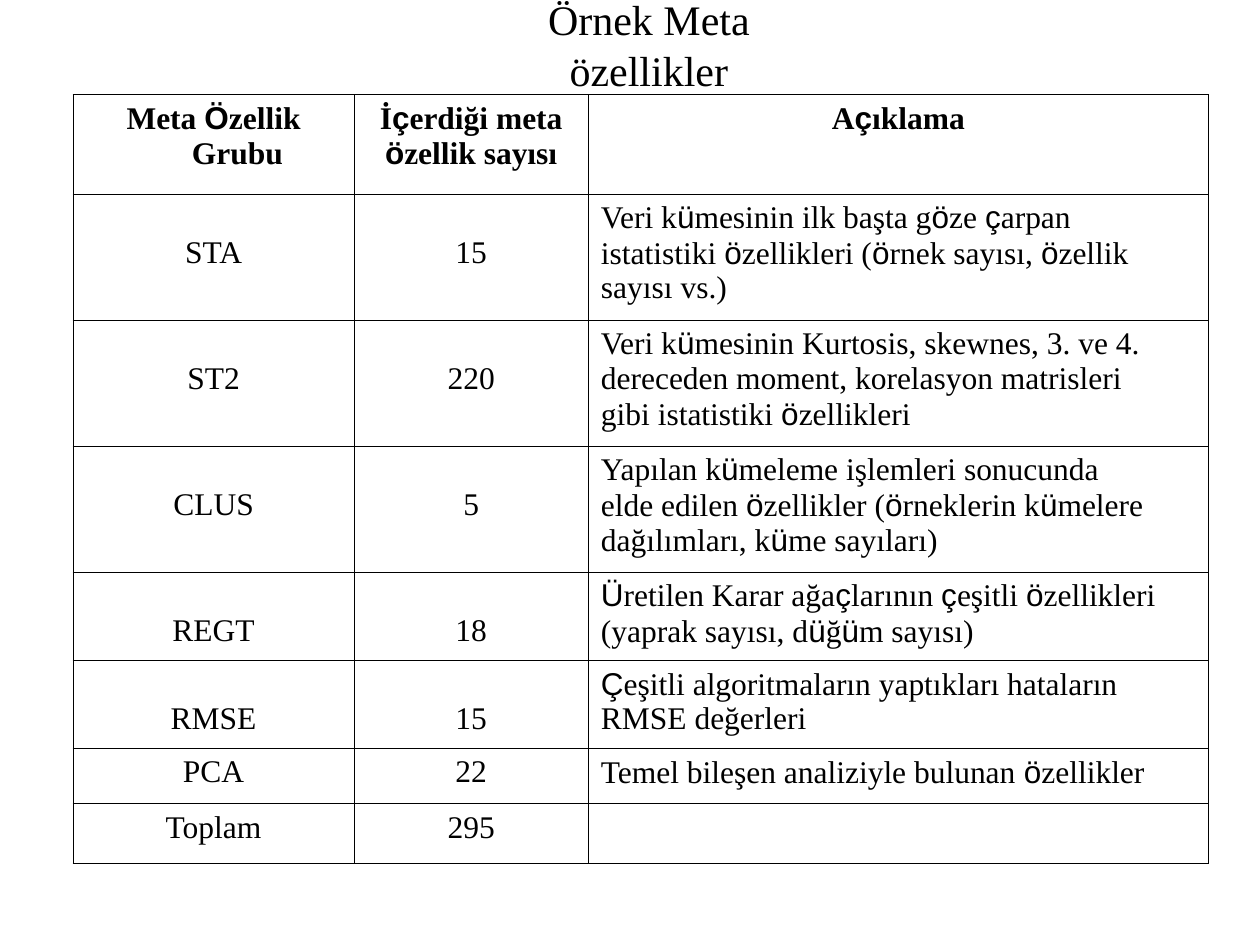
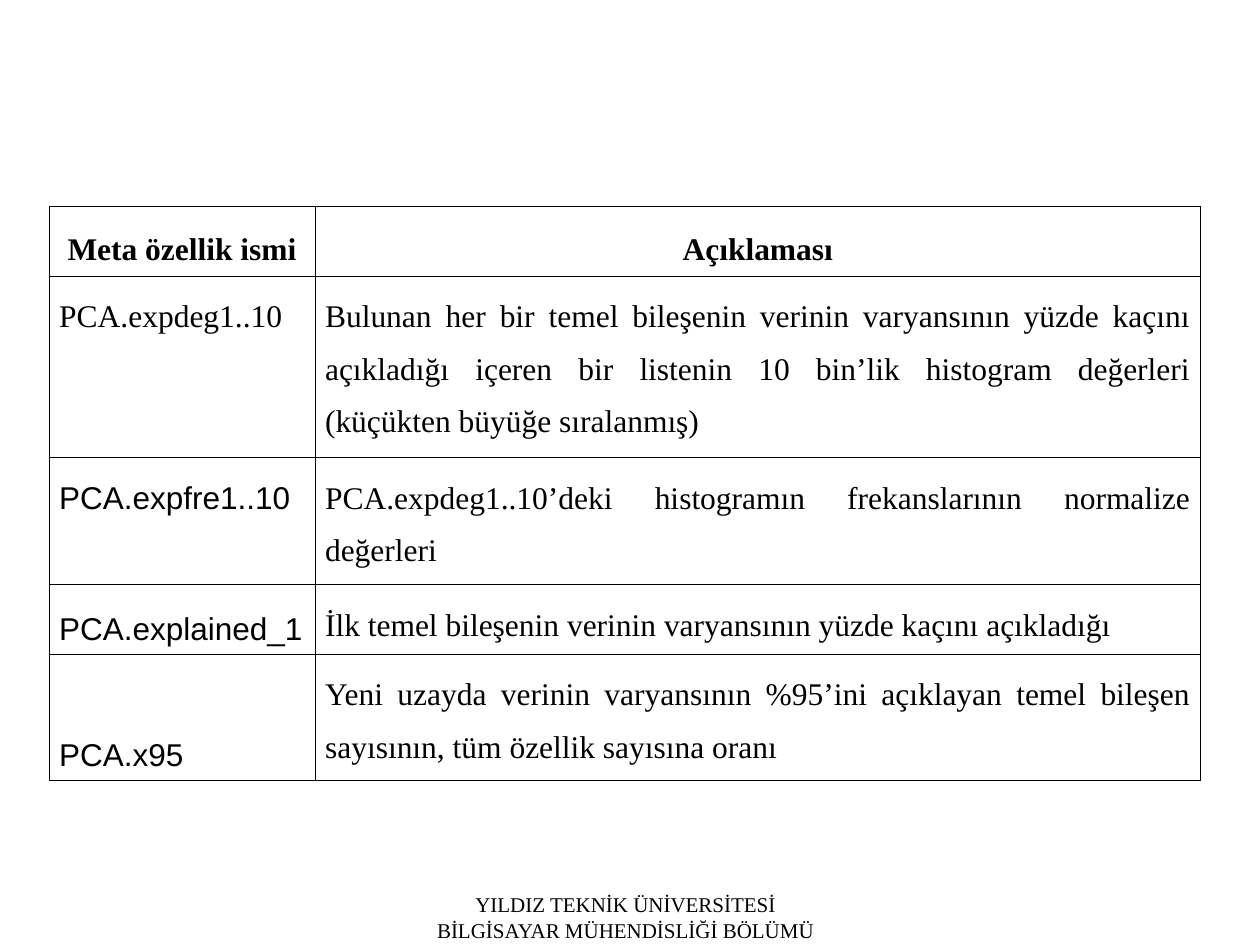
"""Two slides of Turkish tables on meta-features, with a title and a department footer."""
from itertools import groupby

from lxml.etree import SubElement
from pptx import Presentation
from pptx.dml.color import RGBColor
from pptx.enum.text import MSO_ANCHOR as Anchor, MSO_AUTO_SIZE as AutoSize, PP_ALIGN as Align
from pptx.oxml.ns import qn
from pptx.util import Inches, Pt

SERIF, SANS = "Times New Roman", "Arial"
BLACK = RGBColor(0, 0, 0)
SANS_LETTERS = "çöüÇÖÜ"
BODY_SIZE, TITLE_SIZE, FOOTER_SIZE = 18, 24, 12
BORDER_WIDTH = Pt(0.45)
HANGING = Inches(0.38)
LINE_HEIGHT = 0.28

TITLE = "Örnek Meta özellikler"
FOOTER = ["YILDIZ TEKNİK ÜNİVERSİTESİ", "BİLGİSAYAR MÜHENDİSLİĞİ BÖLÜMÜ"]

GROUP_ROWS = [
    ("Meta Özellik Grubu", "İçerdiği meta\nözellik sayısı", "Açıklama"),
    ("STA", "15", "Veri kümesinin ilk başta göze çarpan\n"
                  "istatistiki özellikleri (örnek sayısı, özellik\nsayısı vs.)"),
    ("ST2", "220", "Veri kümesinin Kurtosis, skewnes, 3. ve 4.\n"
                   "dereceden moment, korelasyon matrisleri\ngibi istatistiki özellikleri"),
    ("CLUS", "5", "Yapılan kümeleme işlemleri sonucunda\n"
                  "elde edilen özellikler (örneklerin kümelere\ndağılımları, küme sayıları)"),
    ("REGT", "18", "Üretilen Karar ağaçlarının çeşitli özellikleri\n(yaprak sayısı, düğüm sayısı)"),
    ("RMSE", "15", "Çeşitli algoritmaların yaptıkları hataların\nRMSE değerleri"),
    ("PCA", "22", "Temel bileşen analiziyle bulunan özellikler"),
    ("Toplam", "295", ""),
]
GROUP_COLUMNS = [2.23, 1.86, 4.92]
GROUP_HEIGHTS = [0.79, 1, 1, 1, 0.7, 0.7, 0.44, 0.47]

PCA_ROWS = [
    ("Meta özellik ismi", "Açıklaması"),
    ("PCA.expdeg1..10", "Bulunan her bir temel bileşenin verinin varyansının yüzde kaçını açıkladığı "
                        "içeren bir listenin 10 bin’lik histogram değerleri (küçükten büyüğe sıralanmış)"),
    ("PCA.expfre1..10", "PCA.expdeg1..10’deki histogramın frekanslarının normalize değerleri"),
    ("PCA.explained_1", "İlk temel bileşenin verinin varyansının yüzde kaçını açıkladığı"),
    ("PCA.x95", "Yeni uzayda verinin varyansının %95’ini açıklayan temel bileşen sayısının, "
                "tüm özellik sayısına oranı"),
]
PCA_COLUMNS = [2.11, 7.03]
PCA_HEIGHTS = [0.55, 1.44, 1.01, 0.55, 1]
PCA_SANS_NAMES = (2, 3, 4)
PCA_LOW_NAMES = (3, 4)


def style_font(font, name, size, bold=False):
    font.name, font.size, font.bold = name, Pt(size), bold
    font.color.rgb = BLACK


def add_border(cell):
    properties = cell._tc.get_or_add_tcPr()
    for side in ("a:lnL", "a:lnR", "a:lnT", "a:lnB"):
        line = SubElement(properties, qn(side), w=str(BORDER_WIDTH))
        fill = SubElement(line, qn("a:solidFill"))
        SubElement(fill, qn("a:srgbClr"), val=str(BLACK))


def add_grid(slide, left, top, columns, heights, side_margin):
    frame = slide.shapes.add_table(len(heights), len(columns), Inches(left), Inches(top),
                                   Inches(sum(columns)), Inches(sum(heights)))
    table = frame.table
    table.first_row = table.horz_banding = False
    for column, width in zip(table.columns, columns):
        column.width = Inches(width)
    for row, height in zip(table.rows, heights):
        row.height = Inches(height)
    for cell in table.iter_cells():
        add_border(cell)
        cell.fill.background()
        cell.margin_left = cell.margin_right = Inches(side_margin)
    return table


def add_mixed_runs(paragraph, text, bold):
    for sans, letters in groupby(text, key=lambda letter: letter in SANS_LETTERS):
        run = paragraph.add_run()
        run.text = "".join(letters)
        style_font(run.font, SANS if sans else SERIF, BODY_SIZE, bold)


def fill_group_cell(cell, text, centred, bold):
    for index, line in enumerate(text.split("\n")):
        frame = cell.text_frame
        paragraph = frame.add_paragraph() if index else frame.paragraphs[0]
        paragraph.alignment = Align.CENTER if centred else Align.JUSTIFY
        properties = paragraph._p.get_or_add_pPr()
        properties.set("marL", str(HANGING))
        properties.set("indent", str(-HANGING))
        add_mixed_runs(paragraph, line, bold)


def build_group_slide(presentation):
    slide = presentation.slides.add_slide(presentation.slide_layouts[5])
    title = slide.shapes.title
    title.left, title.top, title.width, title.height = map(Inches, (3.58, 0.1, 3.14, 0.5))
    title.text_frame.text = TITLE
    title.text_frame.auto_size = AutoSize.NONE
    title.text_frame.word_wrap = False
    style_font(title.text_frame.paragraphs[0].font, SERIF, TITLE_SIZE)

    table = add_grid(slide, 0.58, 0.75, GROUP_COLUMNS, GROUP_HEIGHTS, 0.1)
    for row, texts in enumerate(GROUP_ROWS):
        tall = "\n" in texts[-1]
        for column, text in enumerate(texts):
            cell = table.cell(row, column)
            fill_group_cell(cell, text, row == 0 or column < 2, row == 0)
            if tall and column < 2:
                cell.margin_top = Inches(0.05 + LINE_HEIGHT)


def build_pca_slide(presentation):
    slide = presentation.slides.add_slide(presentation.slide_layouts[6])
    table = add_grid(slide, 0.39, 1.64, PCA_COLUMNS, PCA_HEIGHTS, 0.08)
    for row, texts in enumerate(PCA_ROWS):
        for column, text in enumerate(texts):
            cell = table.cell(row, column)
            cell.text_frame.text = text
            paragraph = cell.text_frame.paragraphs[0]
            paragraph.alignment = Align.JUSTIFY if row else Align.CENTER
            paragraph.line_spacing = 1.5
            paragraph.space_after = Pt(6)
            is_sans = column == 0 and row in PCA_SANS_NAMES
            style_font(paragraph.font, SANS if is_sans else SERIF, BODY_SIZE, row == 0)
            if row == 0:
                cell.vertical_anchor = Anchor.MIDDLE
            elif column == 0 and row in PCA_LOW_NAMES:
                cell.vertical_anchor = Anchor.BOTTOM

    footer = slide.shapes.add_textbox(*map(Inches, (2.64, 7.03, 4.65, 0.5)))
    footer.text_frame.word_wrap = True
    footer.text_frame.text = "\n".join(FOOTER)
    for paragraph in footer.text_frame.paragraphs:
        paragraph.alignment = Align.CENTER
        style_font(paragraph.font, SERIF, FOOTER_SIZE)


def main():
    presentation = Presentation()
    presentation.slide_width, presentation.slide_height = Inches(10), Inches(7.5)
    build_group_slide(presentation)
    build_pca_slide(presentation)
    presentation.save("out.pptx")


if __name__ == "__main__":
    main()
